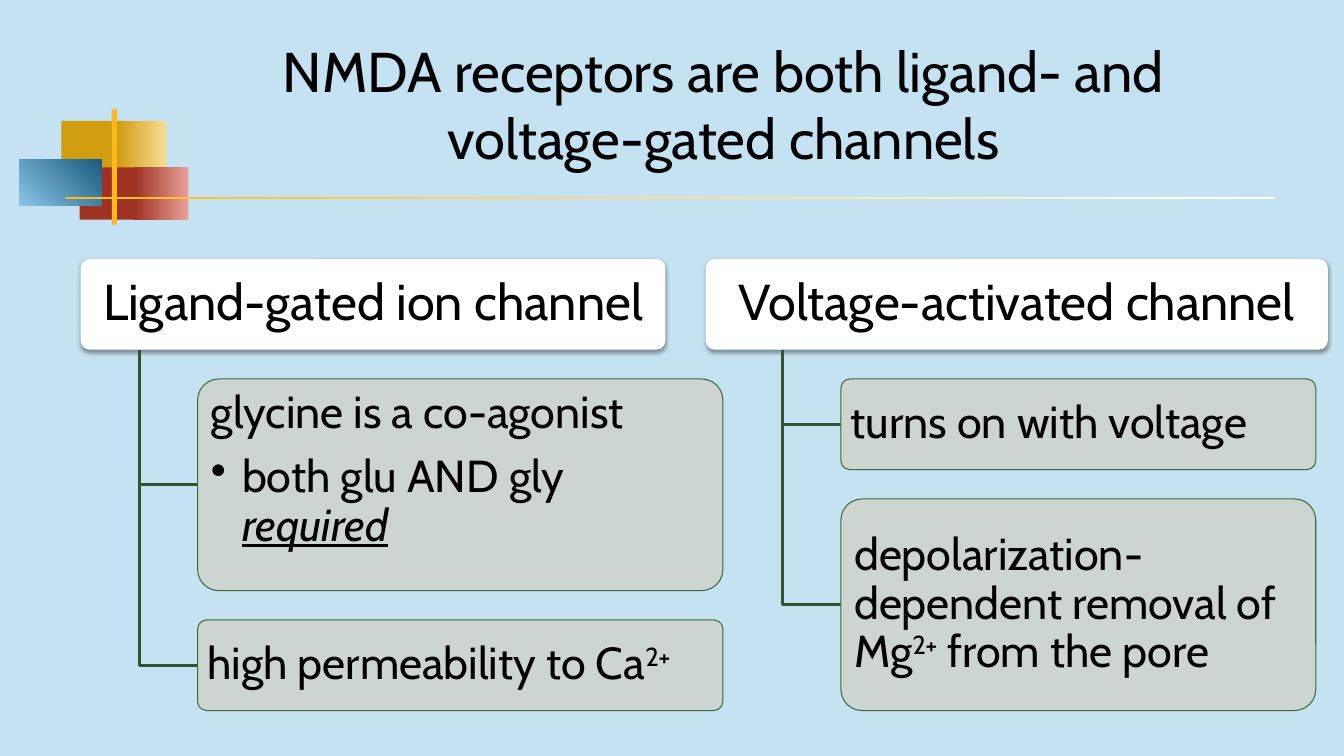
from dataclasses import dataclass

from lxml import etree
from pptx import Presentation
from pptx import util as u
from pptx.dml import color
from pptx.enum import shapes, text
from pptx.oxml import ns


@dataclass(frozen=True)
class Theme:
    font: str = "Cabin"
    title_size: int = 40
    heading_size: int = 36
    detail_size: int = 32
    ink: str = "000000"
    sky: str = "C4E2F2"
    white: str = "FFFFFF"
    gold: str = "D19E12"
    pale_gold: str = "F6DD97"
    red: str = "9E3223"
    pale_red: str = "E8A197"
    light_blue: str = "89C5E6"
    dark_blue: str = "1B5A7D"
    amber: str = "FFB81C"
    detail_fill: str = "CFD4CE"
    detail_edge: str = "3D683A"
    branch: str = "325430"


theme = Theme()
rgb = color.RGBColor.from_string


def add_block(kind, left, top, width, height, *colours, angle=0):
    block = slide.shapes.add_shape(
        kind, u.Inches(left), u.Inches(top), u.Inches(width), u.Inches(height))
    block.shadow.inherit = False
    block.line.fill.background()
    if len(colours) == 1:
        block.fill.solid()
        block.fill.fore_color.rgb = rgb(colours[0])
    else:
        block.fill.gradient()
        block.fill.gradient_angle = angle
        for stop, colour in zip(block.fill.gradient_stops, colours):
            stop.color.rgb = rgb(colour)
    return block


def add_box(left, top, width, height, fill, paragraphs, size, align):
    box = add_block(shapes.MSO_SHAPE.ROUNDED_RECTANGLE, left, top, width, height, fill)
    box.adjustments[0] = 0.1
    frame = box.text_frame
    frame.word_wrap = True
    frame.margin_left = frame.margin_right = u.Inches(0.07)
    frame.margin_top = frame.margin_bottom = u.Inches(0.05)
    several = len(paragraphs) > 1
    frame.vertical_anchor = text.MSO_ANCHOR.TOP if several else text.MSO_ANCHOR.MIDDLE
    for index, runs in enumerate(paragraphs):
        line = frame.add_paragraph() if index else frame.paragraphs[0]
        line.alignment = align
        line.line_spacing = 0.9
        line.space_after = u.Pt(11 if several and not index else 0)
        if index:
            line.level = 1
            props = line._p.get_or_add_pPr()
            props.set("marL", str(u.Inches(0.31)))
            props.set("indent", str(u.Inches(-0.31)))
            etree.SubElement(props, ns.qn("a:buChar"), char="•")
        line.font.name = theme.font
        line.font.size = u.Pt(size)
        line.font.color.rgb = rgb(theme.ink)
        for words, style in runs:
            run = line.add_run()
            run.text = words
            if style == "super":
                run._r.get_or_add_rPr().set("baseline", "30000")
            elif style == "stress":
                run.font.italic = run.font.underline = True
    return box


deck = Presentation()
deck.slide_width, deck.slide_height = u.Inches(13.33), u.Inches(7.5)
slide = deck.slides.add_slide(deck.slide_layouts[5])
slide.background.fill.solid()
slide.background.fill.fore_color.rgb = rgb(theme.sky)

ornaments = [
    (0.61, 1.2, 0.64, 0.52, [theme.gold], 0),
    (1.17, 1.2, 0.48, 0.52, [theme.gold, theme.pale_gold], 0),
    (0.79, 1.66, 0.62, 0.52, [theme.red], 0),
    (1.33, 1.66, 0.54, 0.52, [theme.red, theme.pale_red], 0),
    (0.19, 1.58, 0.82, 0.46, [theme.light_blue, theme.dark_blue], 45),
    (1.11, 1.08, 0.05, 1.15, [theme.amber], 0),
    (0.65, 1.95, 12, 0.03, [theme.amber, theme.white], 0),
]
for left, top, width, height, colours, angle in ornaments:
    add_block(shapes.MSO_SHAPE.RECTANGLE, left, top, width, height, *colours, angle=angle)

title = slide.shapes.title
title.left, title.top = u.Inches(1.68), u.Inches(0.23)
title.width, title.height = u.Inches(10.99), u.Inches(1.6)
title.text_frame.text = "NMDA receptors are both ligand- and voltage-gated channels"
title.text_frame.word_wrap = True
title.text_frame.auto_size = text.MSO_AUTO_SIZE.NONE
title.text_frame.vertical_anchor = text.MSO_ANCHOR.MIDDLE
headline = title.text_frame.paragraphs[0]
headline.alignment = text.PP_ALIGN.CENTER
headline.font.name = theme.font
headline.font.size = u.Pt(theme.title_size)
headline.font.color.rgb = rgb(theme.ink)

heading_top, row, tall, gap, step = 2.57, 0.9, 2.1, 0.29, 0.58
channels = [
    ("Ligand-gated ion channel", 0.8, 5.8, 1.38, 5.21, [
        (tall, [[("glycine is a co-agonist", None)],
                [("both glu AND gly ", None), ("required", "stress")]]),
        (row, [[("high permeability to Ca", None), ("2+", "super")]]),
    ]),
    ("Voltage-activated channel", 7, 6.17, 7.76, 4.71, [
        (row, [[("turns on with voltage", None)]]),
        (tall, [[("depolarization-dependent removal of Mg", None), ("2+", "super"),
                 (" from the pore", None)]]),
    ]),
]
for name, left, width, trunk, detail_width, details in channels:
    heading = add_box(left, heading_top, width, row, theme.white, [[(name, None)]],
                      theme.heading_size, text.PP_ALIGN.CENTER)
    effects = heading._element.spPr.find(ns.qn("a:effectLst"))
    shade = etree.SubElement(effects, ns.qn("a:outerShdw"), blurRad=str(u.Pt(3.1)),
                             dist=str(u.Pt(1.6)), dir="5400000", rotWithShape="0")
    shade_colour = etree.SubElement(shade, ns.qn("a:srgbClr"), val=theme.ink)
    etree.SubElement(shade_colour, ns.qn("a:alpha"), val="38000")

    trunk_top = heading_top + row
    top = trunk_top + gap
    for height, paragraphs in details:
        middle = top + height / 2
        outline = slide.shapes.build_freeform(
            u.Inches(trunk), u.Inches(trunk_top))
        outline.add_line_segments(
            [(u.Inches(trunk), u.Inches(middle)),
             (u.Inches(trunk + step), u.Inches(middle))], close=False)
        branch = outline.convert_to_shape()
        branch.shadow.inherit = False
        branch.fill.background()
        branch.line.color.rgb = rgb(theme.branch)
        branch.line.width = u.Pt(2)

        detail = add_box(trunk + step, top, detail_width, height, theme.detail_fill,
                         paragraphs, theme.detail_size, text.PP_ALIGN.LEFT)
        detail.line.color.rgb = rgb(theme.detail_edge)
        detail.line.width = u.Pt(0.75)
        tint = detail._element.spPr.find(ns.qn("a:solidFill"))[0]
        etree.SubElement(tint, ns.qn("a:alpha"), val="90000")
        top += height + gap

deck.save("out.pptx")
